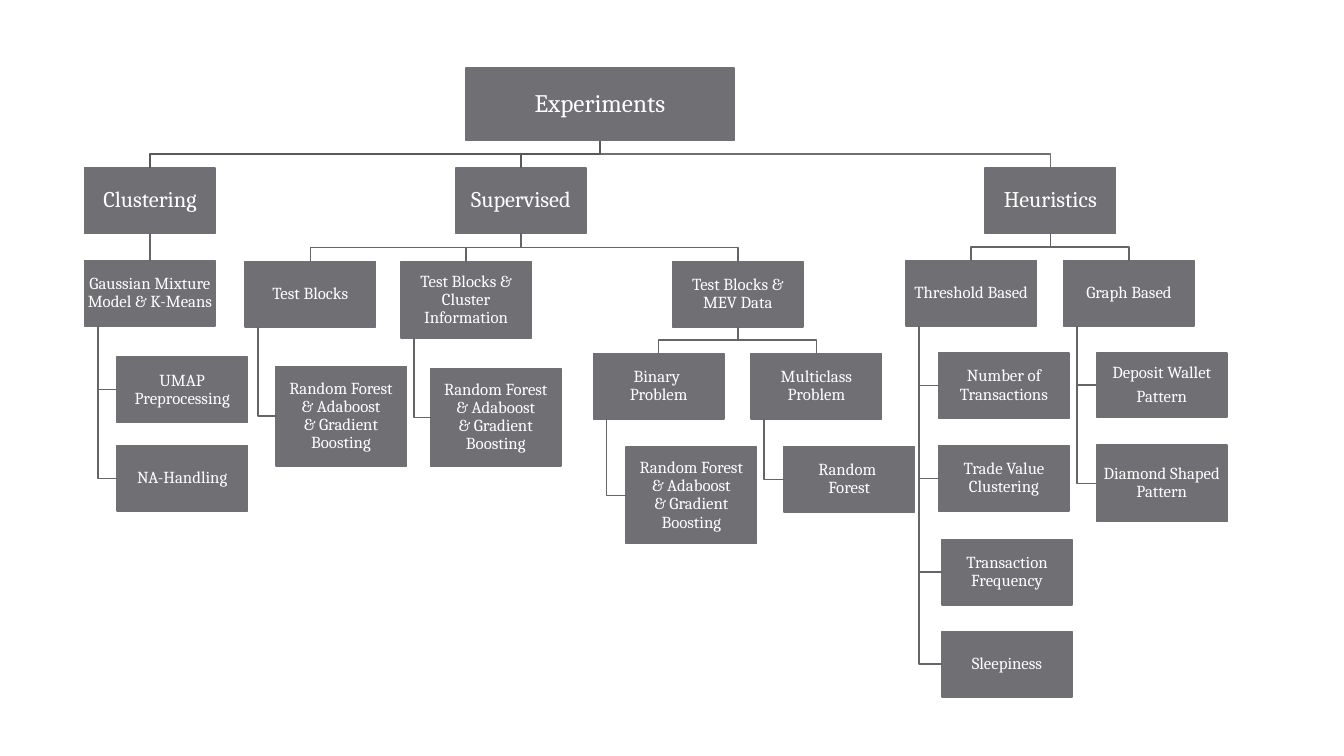
from dataclasses import dataclass, field
from typing import Iterator

from lxml import etree
from pptx import Presentation
from pptx.dml.color import RGBColor
from pptx.enum.shapes import MSO_CONNECTOR, MSO_SHAPE
from pptx.enum.text import MSO_ANCHOR, MSO_AUTO_SIZE, PP_ALIGN
from pptx.oxml.ns import qn
from pptx.util import Inches, Pt

RECTANGLE = MSO_SHAPE.RECTANGLE
STRAIGHT = MSO_CONNECTOR.STRAIGHT
MIDDLE = MSO_ANCHOR.MIDDLE
CENTER = PP_ALIGN.CENTER
NO_AUTOFIT = MSO_AUTO_SIZE.NONE
TOP_SITE, BOTTOM_SITE = 0, 2
TITLE_ONLY_LAYOUT = 5

SLIDE_WIDTH, SLIDE_HEIGHT = Inches(13.33), Inches(7.5)
COLUMN = SLIDE_WIDTH / 133.3
ROW = SLIDE_HEIGHT / 75
HANGER_INSET = 1.3  # columns from a box's left side to the line below it


@dataclass(frozen=True)
class Theme:
    box: RGBColor = RGBColor(0x6F, 0x6F, 0x74)
    text: RGBColor = RGBColor(0xFF, 0xFF, 0xFF)
    link: RGBColor = RGBColor(0x65, 0x65, 0x69)
    dark_link: RGBColor = RGBColor(0x59, 0x59, 0x5D)
    font: str = "Cambria"
    root_size: int = 18
    method_size: int = 16
    detail_size: int = 12
    line_width: float = 1.1
    line_spacing: float = 0.9
    space_after: float = 0.4


THEME = Theme()


@dataclass
class Node:
    """A box at a column and row, with the boxes below it.

    Children are reached from the middle of the bottom side, or, when
    hanging, from a line that drops near the left side.
    """
    text: str
    column: float
    row: float
    columns: float = 12.95
    rows: float = 6.5
    size: int = THEME.detail_size
    link: RGBColor = THEME.link
    hanging: bool = False
    children: list["Node"] = field(default_factory=list)

    @property
    def center(self) -> float:
        return self.column + self.columns / 2

    @property
    def middle(self) -> float:
        return self.row + self.rows / 2

    @property
    def bottom(self) -> float:
        return self.row + self.rows

    def walk(self) -> Iterator["Node"]:
        yield self
        for child in self.children:
            yield from child.walk()


ENSEMBLE = "Random Forest\v& Adaboost\v& Gradient Boosting"

CLUSTERING = Node(
    "Clustering", 8.4, 16.65, size=THEME.method_size, link=THEME.dark_link, children=[
        Node("Gaussian Mixture Model & K-Means", 8.4, 25.85, hanging=True, children=[
            Node("UMAP Preprocessing", 11.6, 35.4),
            Node("NA-Handling", 11.6, 44.2),
        ]),
    ])

SUPERVISED = Node(
    "Supervised", 45.2, 16.65, size=THEME.method_size, link=THEME.dark_link, children=[
        Node("Test Blocks", 24.3, 25.95, hanging=True, children=[
            Node(ENSEMBLE, 27.35, 36.35, rows=9.9),
        ]),
        Node("Test Blocks & Cluster Information", 39.75, 25.95, rows=7.6, hanging=True, children=[
            Node(ENSEMBLE, 42.7, 36.55, rows=9.7),
        ]),
        Node("Test Blocks & MEV Data", 66.7, 25.95, children=[
            Node("Binary \vProblem", 58.85, 35.05, hanging=True, children=[
                Node(ENSEMBLE, 62.1, 44.35, rows=9.6),
            ]),
            Node("Multiclass Problem", 74.5, 35.05, hanging=True, children=[
                Node("Random \vForest", 77.75, 44.3),
            ]),
        ]),
    ])

HEURISTICS = Node(
    "Heuristics", 97.7, 16.65, size=THEME.method_size, link=THEME.box, children=[
        Node("Threshold Based", 89.85, 25.85, hanging=True, children=[
            Node("Number of Transactions", 93.1, 35),
            Node("Trade Value Clustering", 93.1, 44.2),
            Node("Transaction Frequency", 93.4, 53.5),
            Node("Sleepiness", 93.4, 62.65),
        ]),
        Node("Graph Based", 105.5, 25.85, hanging=True, children=[
            Node("Deposit Wallet\nPattern", 108.75, 35, rows=6.4),
            Node("Diamond Shaped\vPattern", 108.75, 44.15, rows=7.6),
        ]),
    ])

EXPERIMENTS = Node("Experiments", 46.2, 6.75, columns=26.6, rows=7.2,
                   size=THEME.root_size, children=[HEURISTICS, SUPERVISED, CLUSTERING])


def write(shape, text: str, *, size: int, color: RGBColor, font: str) -> None:
    frame = shape.text_frame
    frame.text = text
    frame.auto_size = NO_AUTOFIT
    frame.word_wrap = True
    frame.vertical_anchor = MIDDLE
    frame.margin_left = frame.margin_right = Inches(0.01)
    frame.margin_top = frame.margin_bottom = Inches(0.01)
    for paragraph in frame.paragraphs:
        paragraph.alignment = CENTER
        paragraph.line_spacing = THEME.line_spacing
        paragraph.space_before = Pt(0)
        paragraph.space_after = Pt(size * THEME.space_after)
        for run in paragraph.runs:
            run.font.name = font
            run.font.size = Pt(size)
            run.font.color.rgb = color


def paint_line(shape, color: RGBColor) -> None:
    shape.line.color.rgb = color
    shape.line.width = Pt(THEME.line_width)


def draw_box(slide, node: Node):
    """Draw a node; the root of the tree fills the title placeholder."""
    area = (round(node.column * COLUMN), round(node.row * ROW),
            round(node.columns * COLUMN), round(node.rows * ROW))
    if node is EXPERIMENTS:
        shape = slide.shapes.title
        shape.left, shape.top, shape.width, shape.height = area
    else:
        shape = slide.shapes.add_shape(RECTANGLE, *area)
        shape.shadow.inherit = False
    shape.fill.solid()
    shape.fill.fore_color.rgb = THEME.box
    paint_line(shape, THEME.box)
    write(shape, node.text, size=node.size, color=THEME.text, font=THEME.font)
    return shape


def draw_straight_link(slide, parent_box, child_box, color: RGBColor) -> None:
    connector = slide.shapes.add_connector(STRAIGHT, 0, 0, 0, 0)
    connector.begin_connect(parent_box, BOTTOM_SITE)
    connector.end_connect(child_box, TOP_SITE)
    paint_line(connector, color)
    etree.SubElement(connector._element.spPr, qn("a:effectLst"))


def draw_bent_link(slide, parent: Node, child: Node) -> None:
    if parent.hanging:
        start = parent.column + HANGER_INSET
        points = [(start, parent.bottom), (start, child.middle), (child.column, child.middle)]
    else:
        halfway = (parent.bottom + child.row) / 2
        points = [(parent.center, parent.bottom), (parent.center, halfway),
                  (child.center, halfway), (child.center, child.row)]
    corners = [(round(column * COLUMN), round(row * ROW)) for column, row in points]
    builder = slide.shapes.build_freeform(*corners[0])
    builder.add_line_segments(corners[1:], close=False)
    link = builder.convert_to_shape()
    link.fill.background()
    link.shadow.inherit = False
    paint_line(link, child.link)


def main() -> None:
    presentation = Presentation()
    presentation.slide_width, presentation.slide_height = SLIDE_WIDTH, SLIDE_HEIGHT
    slide = presentation.slides.add_slide(presentation.slide_layouts[TITLE_ONLY_LAYOUT])
    nodes = list(EXPERIMENTS.walk())
    boxes = {id(node): draw_box(slide, node) for node in nodes}
    for parent in nodes:
        for child in parent.children:
            if child.center == parent.center and not parent.hanging:
                draw_straight_link(slide, boxes[id(parent)], boxes[id(child)], child.link)
            else:
                draw_bent_link(slide, parent, child)
    presentation.save("out.pptx")


if __name__ == "__main__":
    main()
